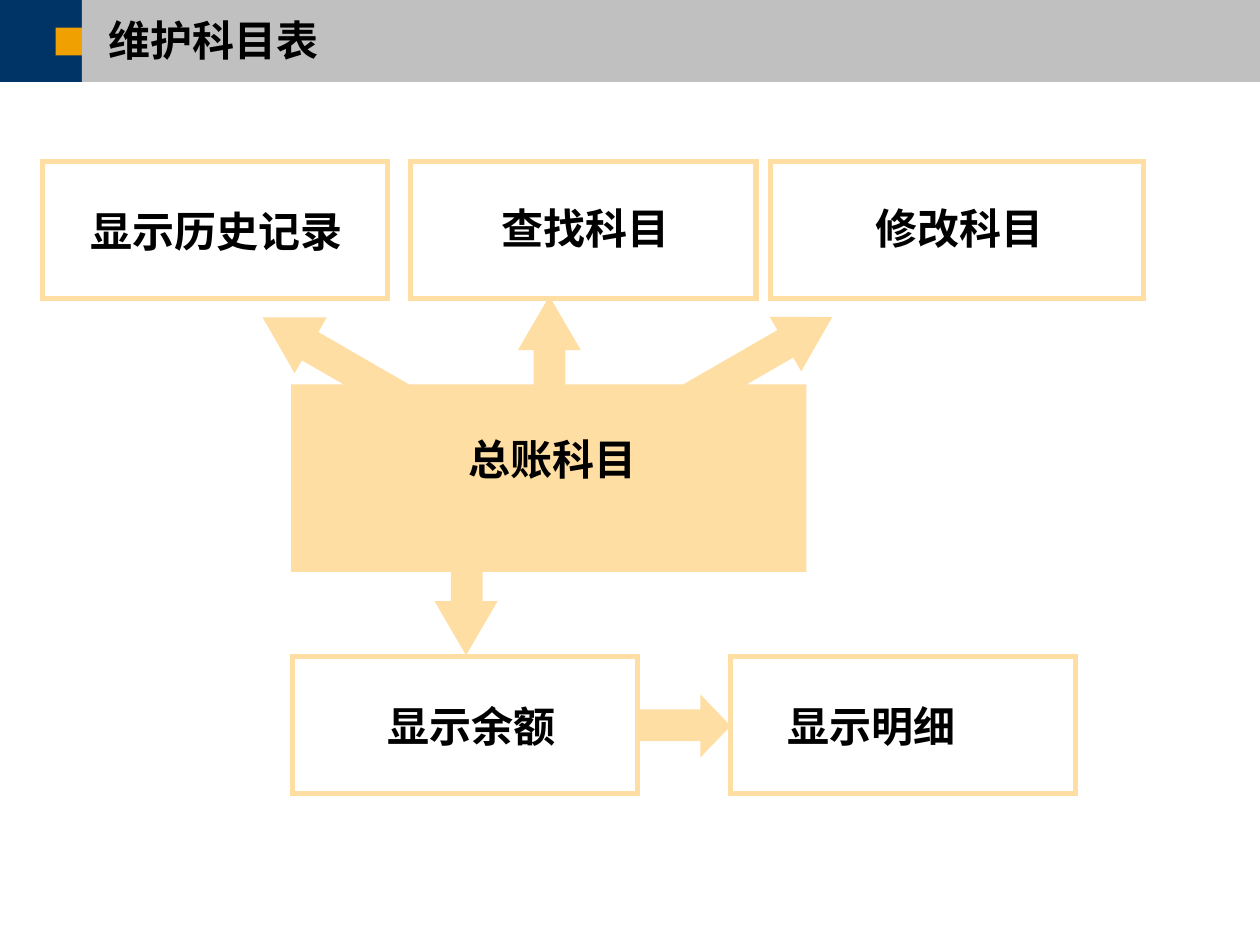
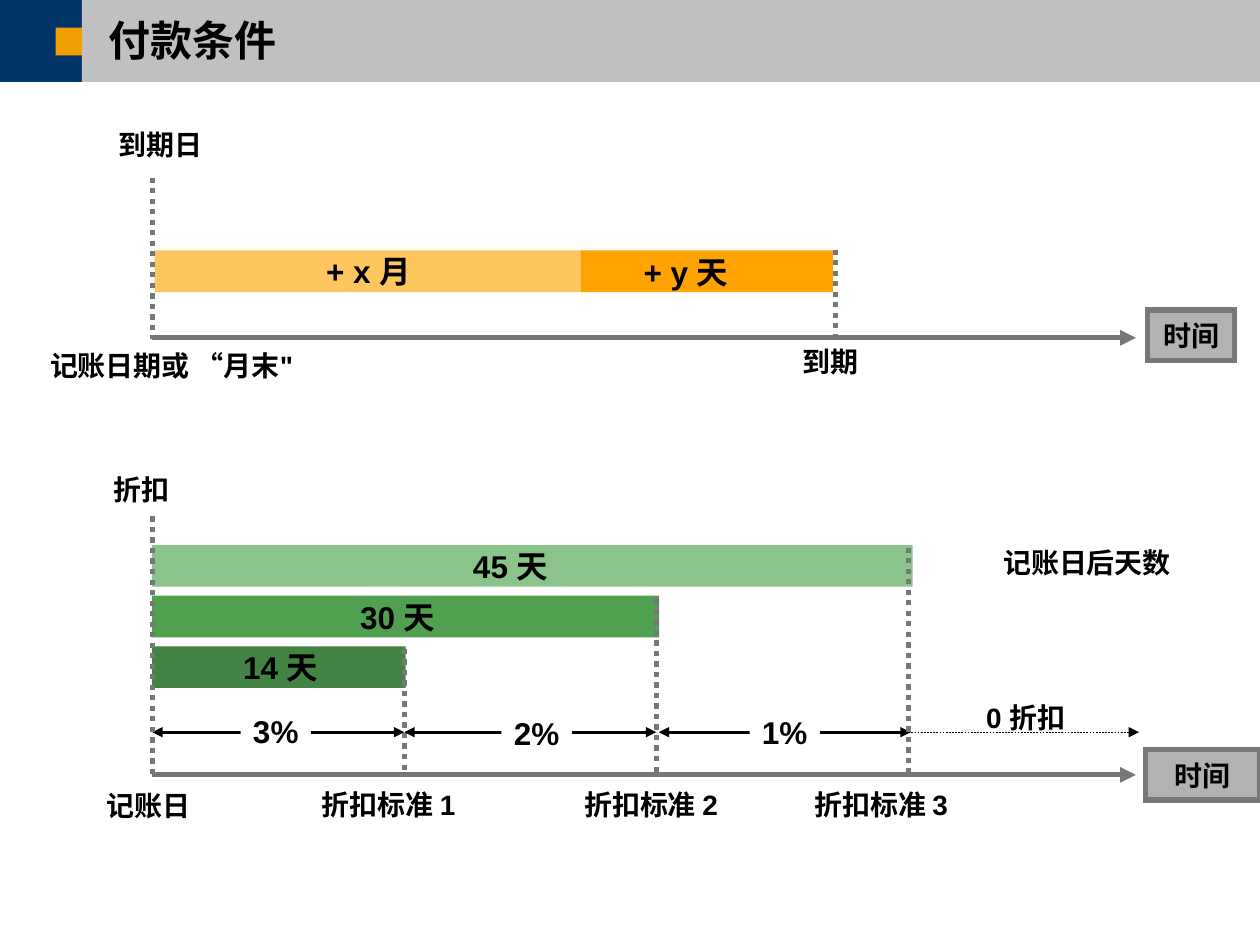
"""Build two finance slides: the account maintenance map and the payment terms timelines."""
from dataclasses import dataclass
from typing import Optional

from lxml import etree
from pptx import Presentation
from pptx.dml.color import RGBColor
from pptx.enum.dml import MSO_LINE
from pptx.enum.shapes import MSO_CONNECTOR, MSO_SHAPE
from pptx.enum.text import MSO_ANCHOR, MSO_AUTO_SIZE, PP_ALIGN
from pptx.oxml.ns import qn
from pptx.util import Cm, Pt

RECT, TRIANGLE = MSO_SHAPE.RECTANGLE, MSO_SHAPE.ISOSCELES_TRIANGLE
STRAIGHT = MSO_CONNECTOR.STRAIGHT
TOP, MIDDLE = MSO_ANCHOR.TOP, MSO_ANCHOR.MIDDLE
LEFT, CENTER = PP_ALIGN.LEFT, PP_ALIGN.CENTER
NO_FIT, GROW = MSO_AUTO_SIZE.NONE, MSO_AUTO_SIZE.SHAPE_TO_FIT_TEXT
DOTTED, DASHED = MSO_LINE.ROUND_DOT, MSO_LINE.DASH

NAVY = RGBColor(0x00, 0x33, 0x66)
SILVER = RGBColor(0xC0, 0xC0, 0xC0)
GOLD = RGBColor(0xF0, 0xA0, 0x00)
CREAM = RGBColor(0xFF, 0xDE, 0xA3)
AMBER = RGBColor(0xFF, 0xC6, 0x5F)
ORANGE = RGBColor(0xFF, 0xA3, 0x02)
DARK_GREEN = RGBColor(0x43, 0x83, 0x43)
GREEN = RGBColor(0x51, 0x9F, 0x51)
LIGHT_GREEN = RGBColor(0x8A, 0xC4, 0x8A)
GRAY = RGBColor(0x77, 0x77, 0x77)
BUTTON_GRAY = RGBColor(0xB2, 0xB2, 0xB2)
BLACK = RGBColor(0x00, 0x00, 0x00)
WHITE = RGBColor(0xFF, 0xFF, 0xFF)

BODY_FONT, HEAD_FONT = "Arial", "Montserrat"


@dataclass(frozen=True)
class Block:
    """A filled or outlined shape, measured in centimetres."""
    x: float
    y: float
    w: float
    h: float
    fill: Optional[RGBColor] = None
    line: Optional[RGBColor] = None
    kind: int = RECT
    angle: float = 0
    text: str = ""
    size: float = 16


@dataclass(frozen=True)
class Label:
    """A centred bold caption, measured in centimetres."""
    text: str
    x: float
    y: float
    w: float
    h: float = 0.94
    size: float = 16
    font: str = BODY_FONT
    anchor: int = TOP


@dataclass(frozen=True)
class Line:
    """A straight line, measured in centimetres."""
    x1: float
    y1: float
    x2: float
    y2: float
    color: RGBColor = GRAY
    width: float = 3
    dash: Optional[int] = None
    ends: tuple = ()


@dataclass(frozen=True)
class Tier:
    """One discount period with its bar, percentage and criterion."""
    days: str
    days_x: float
    days_w: float
    color: RGBColor
    percent: str
    percent_x: float
    percent_y: float
    arrow_x: float
    criterion: str
    criterion_x: float


BANDS = [
    Block(0, 0, 1.65, 1.65, NAVY),
    Block(1.65, 0, 23.75, 1.65, SILVER),
    Block(1.12, 0.56, 0.53, 0.56, GOLD),
]

ARROW_PARTS = [
    Block(9.86, 7.8, 2.44, 0.64, CREAM, angle=270),
    Block(10.44, 5.97, 1.27, 1.09, CREAM, kind=TRIANGLE),
    Block(10.29, 8.05, 6.1, 0.64, CREAM, angle=330),
    Block(15.67, 6.12, 1.27, 1.09, CREAM, kind=TRIANGLE, angle=60),
    Block(5.69, 8.13, 6.25, 0.66, CREAM, angle=30),
    Block(5.13, 6.12, 1.3, 1.12, CREAM, kind=TRIANGLE, angle=300),
    Block(8.18, 10.74, 2.46, 0.64, CREAM, angle=90),
    Block(8.76, 12.12, 1.27, 1.09, CREAM, kind=TRIANGLE, angle=180),
    Block(12.85, 14.3, 1.35, 0.64, CREAM),
    Block(13.79, 14.33, 1.27, 0.61, CREAM, kind=TRIANGLE, angle=90),
]
LEDGER = Block(5.87, 7.75, 10.39, 3.78, CREAM)
FRAMES = [Block(x, y, w, 2.77, line=CREAM) for x, y, w in (
    (0.86, 3.25, 6.96), (8.28, 3.25, 6.96), (15.54, 3.25, 7.52),
    (5.89, 13.23, 6.96), (14.73, 13.23, 6.96))]
MAP_LABELS = [Label(text, x, y, w, 1.27, 24, font) for text, x, y, w, font in (
    ("显示历史记录", 1.57, 4.01, 5.59, BODY_FONT),
    ("查找科目", 8.69, 3.96, 6.22, BODY_FONT),
    ("修改科目", 15.82, 3.96, 7.04, BODY_FONT),
    ("显示余额", 7.01, 14, 5, BODY_FONT),
    ("显示明细", 15.34, 14, 4.47, BODY_FONT),
    ("总账科目", 9.19, 8.61, 3.89, HEAD_FONT))]

START_X = 3.07
AXIS_END = 22.9
DUE_AXIS_Y, DISCOUNT_AXIS_Y = 6.81, 15.62
BAR_H = 0.84
TIER_W, TIER_STEP = 5.08, 1.02
LOWEST_BAR_Y = 13.03
PERCENT_Y = 14.76

DUE_BARS = [
    Block(3.12, 5.05, 8.59, BAR_H, AMBER),
    Block(11.71, 5.05, 5.08, BAR_H, ORANGE),
]
TIERS = [
    Tier("14 天", 4.57, 2.18, DARK_GREEN, "3%", 4.85, 14.22, 3.07, "折扣标准 1", 6.17),
    Tier("30 天", 6.93, 2.18, GREEN, "2%", 10.11, 14.27, 8.15, "折扣标准 2", 11.46),
    Tier("45 天", 8.86, 2.87, LIGHT_GREEN, "1%", 15.11, 14.25, 13.28, "折扣标准 3", 16.1),
]
TIME_BUTTONS = [
    Block(23.14, 6.25, 1.75, 1.02, BUTTON_GRAY, GRAY, text="时间"),
    Block(23.09, 15.11, 2.31, 1.02, BUTTON_GRAY, GRAY, text="时间"),
]
AXES = [Line(START_X, y, AXIS_END, y, ends=("tail",))
        for y in (DUE_AXIS_Y, DISCOUNT_AXIS_Y)]
DATE_MARKS = [
    Line(START_X, 3.58, START_X, 6.83, dash=DOTTED),
    Line(16.84, 5.03, 16.84, 6.93, dash=DOTTED),
    Line(START_X, 10.41, START_X, 15.7, dash=DOTTED),
]
NO_DISCOUNT = Line(18.31, PERCENT_Y, 22.96, PERCENT_Y, BLACK, 0.25, DASHED, ("tail",))
TERM_LABELS = [
    Label("到期日", 1.09, 2.39, 4.29, 1.02, anchor=MIDDLE),
    Label("+ x 月", 5.95, 4.95, 2.96, 1.02, 18, anchor=MIDDLE),
    Label("+ y 天", 12.35, 4.98, 2.96, 1.02, 18, anchor=MIDDLE),
    Label("记账日期或 “月末\"", 0.69, 6.91, 5.54),
    Label("到期", 15.93, 6.83, 1.63),
    Label("折扣", 1.09, 9.35, 3.53, 1.02, anchor=MIDDLE),
    Label("记账日后天数", 18.42, 10.87, 6.99),
    Label("0 折扣", 19.56, 14, 2.24, anchor=MIDDLE),
    Label("记账日", 1.02, 15.77, 3.94),
]


def set_all(target, values: dict) -> None:
    """Set each named attribute of the target."""
    for name, value in values.items():
        setattr(target, name, value)


def write_text(s, text: str, size: float, font: str = BODY_FONT,
               align: int = CENTER, **frame) -> None:
    """Write one bold black paragraph into a shape."""
    tf = s.text_frame
    set_all(tf, {"word_wrap": False, "auto_size": NO_FIT, "vertical_anchor": MIDDLE, **frame})
    p = tf.paragraphs[0]
    p.alignment = align
    r = p.add_run()
    r.text = text
    set_all(r.font, {"name": font, "size": Pt(size), "bold": True})
    r.font.color.rgb = BLACK


def draw_block(slide, block: Block):
    """Draw a shape with its fill, square-cornered outline, turn and text."""
    s = slide.shapes.add_shape(block.kind, Cm(block.x), Cm(block.y), Cm(block.w), Cm(block.h))
    s.shadow.inherit = False
    s.rotation = block.angle
    if block.fill is None:
        s.fill.background()
    else:
        s.fill.solid()
        s.fill.fore_color.rgb = block.fill
    if block.line is None:
        s.line.fill.background()
    else:
        s.line.color.rgb = block.line
        s.line.width = Pt(3)
        etree.SubElement(s.line._get_or_add_ln(), qn("a:miter"), lim="800000")
    if block.text:
        write_text(s, block.text, block.size)
    return s


def draw_label(slide, label: Label) -> None:
    """Draw a caption."""
    s = slide.shapes.add_textbox(Cm(label.x), Cm(label.y), Cm(label.w), Cm(label.h))
    write_text(s, label.text, label.size, label.font, vertical_anchor=label.anchor,
               auto_size=GROW if label.anchor == TOP else NO_FIT)


def draw_line(slide, line: Line) -> None:
    """Draw a line with its dash and arrowheads."""
    s = slide.shapes.add_connector(STRAIGHT, Cm(line.x1), Cm(line.y1), Cm(line.x2), Cm(line.y2))
    s.line.color.rgb = line.color
    s.line.width = Pt(line.width)
    if line.dash is not None:
        s.line.dash_style = line.dash
    ln = s.line._get_or_add_ln()
    for end in line.ends:
        etree.SubElement(ln, qn(f"a:{end}End"), type="triangle")
    etree.SubElement(s._element.spPr, qn("a:effectLst"))


def draw_tier(slide, row: int, tier: Tier) -> None:
    """Draw one discount period."""
    bar_y = LOWEST_BAR_Y - row * TIER_STEP
    end_x = START_X + (row + 1) * TIER_W
    draw_block(slide, Block(START_X, bar_y, (row + 1) * 5.11, BAR_H, tier.color))
    draw_label(slide, Label(tier.days, tier.days_x, bar_y - 0.09, tier.days_w, 1.02, 18,
                            anchor=MIDDLE))
    draw_line(slide, Line(tier.arrow_x, PERCENT_Y, tier.arrow_x + TIER_W, PERCENT_Y,
                          BLACK, 1.5, ends=("head", "tail")))
    draw_block(slide, Block(tier.percent_x, tier.percent_y, 1.42, 1.02, WHITE,
                            text=tier.percent, size=18))
    draw_line(slide, Line(end_x, bar_y + 0.05, end_x, 15.65, dash=DOTTED))
    draw_label(slide, Label(tier.criterion, tier.criterion_x, 15.75, 3.33))


def add_titled_slide(prs, title: str):
    """Add a slide and fill in its title."""
    slide = prs.slides.add_slide(prs.slide_layouts[5])
    s = slide.shapes.title
    write_text(s, title, 24, HEAD_FONT, LEFT, word_wrap=True, margin_left=Cm(0.51),
               margin_top=0, margin_right=0, margin_bottom=0)
    s.text_frame.paragraphs[0].line_spacing = 0.9
    return slide


def set_up_master(prs, slide) -> None:
    """Place the bands on the master."""
    tree = prs.slide_master.shapes._spTree
    for i, band in enumerate(BANDS):
        tree.insert(2 + i, draw_block(slide, band)._element)


def draw_account_map(slide) -> None:
    """Draw the ledger account and the tasks around it."""
    for block in [*ARROW_PARTS, LEDGER, *FRAMES]:
        draw_block(slide, block)
    for label in MAP_LABELS:
        draw_label(slide, label)


def draw_payment_terms(slide) -> None:
    """Draw the due date and discount timelines."""
    for line in AXES:
        draw_line(slide, line)
    for block in DUE_BARS + TIME_BUTTONS:
        draw_block(slide, block)
    for row, tier in enumerate(TIERS):
        draw_tier(slide, row, tier)
    for line in [*DATE_MARKS, NO_DISCOUNT]:
        draw_line(slide, line)
    for label in TERM_LABELS:
        draw_label(slide, label)


def main() -> None:
    """Build and save the presentation."""
    prs = Presentation()
    set_all(prs, {"slide_width": Cm(25.4), "slide_height": Cm(19.05)})
    set_all(prs.slide_layouts[5].placeholders[0], {
        "left": Cm(1.68), "top": Cm(0.33), "width": Cm(23.27), "height": Cm(1.07)})
    account_slide = add_titled_slide(prs, "维护科目表")
    set_up_master(prs, account_slide)
    draw_account_map(account_slide)
    draw_payment_terms(add_titled_slide(prs, "付款条件"))
    prs.save("out.pptx")


if __name__ == "__main__":
    main()
